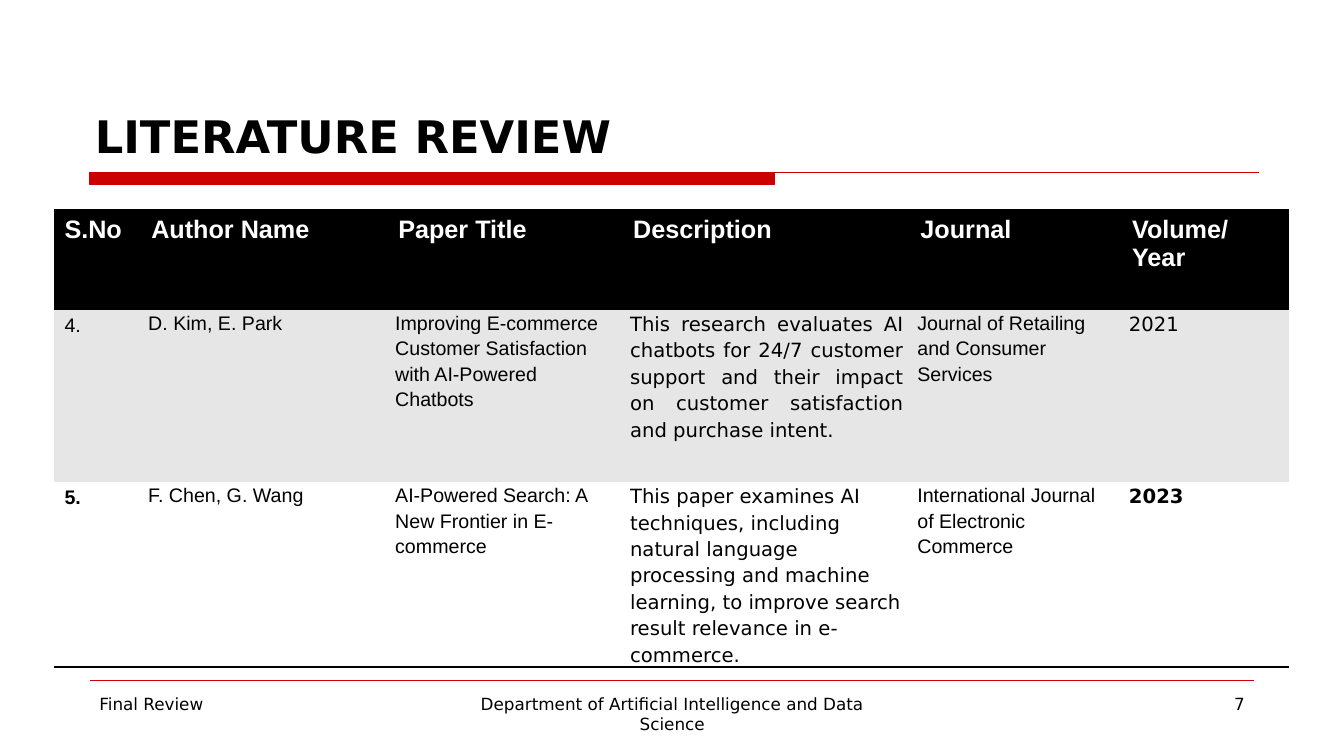
import pptx
import pptx.util
import pptx.dml.color
import pptx.enum.shapes
import pptx.enum.text
import pptx.oxml
import pptx.oxml.ns

Pt = pptx.util.Pt
ALIGN = pptx.enum.text.PP_ALIGN
ANCHOR = pptx.enum.text.MSO_ANCHOR
SANS, ARIAL = "DejaVu Sans", "Arial"
BLACK, WHITE, RED, GREY = "000000", "FFFFFF", "CC0000", "E6E6E6"

# Content
TITLE = "LITERATURE REVIEW"
HEADINGS = ["S.No", "Author Name", "Paper Title", "Description", "Journal", "Volume/\nYear"]
PAPERS = [
    ["4.", "D. Kim, E. Park",
     "Improving E-commerce Customer Satisfaction with AI-Powered Chatbots",
     "This research evaluates AI chatbots for 24/7 customer support and their impact "
     "on customer satisfaction and purchase intent.",
     "Journal of Retailing and Consumer Services", "2021"],
    ["5.", "F. Chen, G. Wang",
     "AI-Powered Search: A New Frontier in E-commerce",
     "This paper examines AI techniques, including natural language processing and "
     "machine learning, to improve search result relevance in e-commerce.",
     "International Journal of Electronic Commerce", "2023"],
]
# Footer: text, left, width, height, alignment
FOOTER = [
    ("Final Review", 64, 208, 32.4, ALIGN.LEFT),
    ("Department of Artificial Intelligence and Data Science", 328.3, 303.8, 37.4, ALIGN.CENTER),
    ("7", 688.3, 208, 37.4, ALIGN.RIGHT),
]

# Table format
COLUMN_WIDTHS = [62, 176.4, 167.8, 205.2, 151.2, 119.4]
ROW_HEIGHTS = [70.6, 123.1, 110.2]
ROW_FILLS = [BLACK, GREY, WHITE]
COLUMN_FONTS = [ARIAL, ARIAL, ARIAL, SANS, ARIAL, SANS]
BODY_PARAGRAPH = {"line_spacing": 1.15, "space_after": Pt(8)}
BODY_MARGINS = {"margin_left": Pt(5), "margin_right": Pt(5), "margin_top": 0, "margin_bottom": 0}
JUSTIFIED = {(1, 1), (1, 3), (1, 5), (2, 1), (2, 5)}
BOLD_CELLS = {(2, 0), (2, 5)}
NO_STYLE = "{2D5ABB26-0587-4C30-8999-92F81FD0307C}"


def color(value):
    return pptx.dml.color.RGBColor.from_string(value)


def apply(target, formats):
    for name, value in formats.items():
        setattr(target, name, value)


def write(frame, text, size, font, ink=BLACK, bold=False, paragraph_format=None):
    frame.text = text
    for paragraph in frame.paragraphs:
        apply(paragraph, paragraph_format or {})
        for run in paragraph.runs:
            apply(run.font, {"size": Pt(size), "name": font, "bold": bold})
            run.font.color.rgb = color(ink)


def rule(slide, left, right, y):
    line = slide.shapes.add_connector(
        pptx.enum.shapes.MSO_CONNECTOR.STRAIGHT, Pt(left), Pt(y), Pt(right), Pt(y))
    line.line.color.rgb = color(RED)
    line.line.width = Pt(0.75)
    line._element.spPr.append(pptx.oxml.parse_xml(
        f'<a:effectLst {pptx.oxml.ns.nsdecls("a")}/>'))


def border(cell, side):
    cell._tc.get_or_add_tcPr().insert(0, pptx.oxml.parse_xml(
        f'<a:{side} {pptx.oxml.ns.nsdecls("a")} w="{Pt(2)}"><a:solidFill>'
        f'<a:srgbClr val="{BLACK}"/></a:solidFill></a:{side}>'))


def add_title(slide):
    title = slide.shapes.title
    apply(title, {"left": Pt(60.5), "top": Pt(23.8), "width": Pt(840), "height": Pt(95.8)})
    apply(title.text_frame, {"vertical_anchor": ANCHOR.BOTTOM, "word_wrap": True,
                             "auto_size": pptx.enum.text.MSO_AUTO_SIZE.NONE})
    write(title.text_frame, TITLE, 32, SANS, bold=True,
          paragraph_format={"alignment": ALIGN.LEFT})


def add_rules(slide):
    bar = slide.shapes.add_shape(pptx.enum.shapes.MSO_SHAPE.RECTANGLE,
                                 Pt(64), Pt(123.1), Pt(489), Pt(8.6))
    bar.shadow.inherit = False
    bar.fill.solid()
    bar.fill.fore_color.rgb = color(RED)
    bar.line.color.rgb = color(RED)
    bar.line.width = Pt(0.75)
    rule(slide, 64, 899.3, 123.1)
    rule(slide, 64, 895.7, 486)


def add_papers(slide):
    rows = [HEADINGS] + PAPERS
    table = slide.shapes.add_table(
        len(rows), len(HEADINGS), Pt(38.9), Pt(150.5),
        Pt(sum(COLUMN_WIDTHS)), Pt(sum(ROW_HEIGHTS))).table
    table._tbl.tblPr.find(pptx.oxml.ns.qn("a:tableStyleId")).text = NO_STYLE
    for column, width in zip(table.columns, COLUMN_WIDTHS):
        column.width = Pt(width)
    for r, texts in enumerate(rows):
        table.rows[r].height = Pt(ROW_HEIGHTS[r])
        for c, text in enumerate(texts):
            cell = table.cell(r, c)
            cell.fill.solid()
            cell.fill.fore_color.rgb = color(ROW_FILLS[r])
            if r == 0:
                write(cell.text_frame, text, 18, ARIAL, WHITE, True)
                border(cell, "lnT")
                continue
            paragraph_format = {}
            if c > 0:
                apply(cell, BODY_MARGINS)
                align = ALIGN.JUSTIFY if (r, c) in JUSTIFIED else ALIGN.LEFT
                paragraph_format = {**BODY_PARAGRAPH, "alignment": align}
            write(cell.text_frame, text, 14, COLUMN_FONTS[c],
                  bold=(r, c) in BOLD_CELLS, paragraph_format=paragraph_format)
            if r == len(rows) - 1:
                border(cell, "lnB")


def add_footer(slide):
    for text, left, width, height, align in FOOTER:
        frame = slide.shapes.add_textbox(Pt(left), Pt(491.8), Pt(width), Pt(height)).text_frame
        frame.word_wrap = True
        write(frame, text, 12, SANS, paragraph_format={"alignment": align})


def main():
    deck = pptx.Presentation()
    apply(deck, {"slide_width": Pt(960), "slide_height": Pt(540)})
    slide = deck.slides.add_slide(deck.slide_layouts.get_by_name("Title Only"))
    add_title(slide)
    add_rules(slide)
    add_papers(slide)
    add_footer(slide)
    deck.save("out.pptx")


if __name__ == "__main__":
    main()
